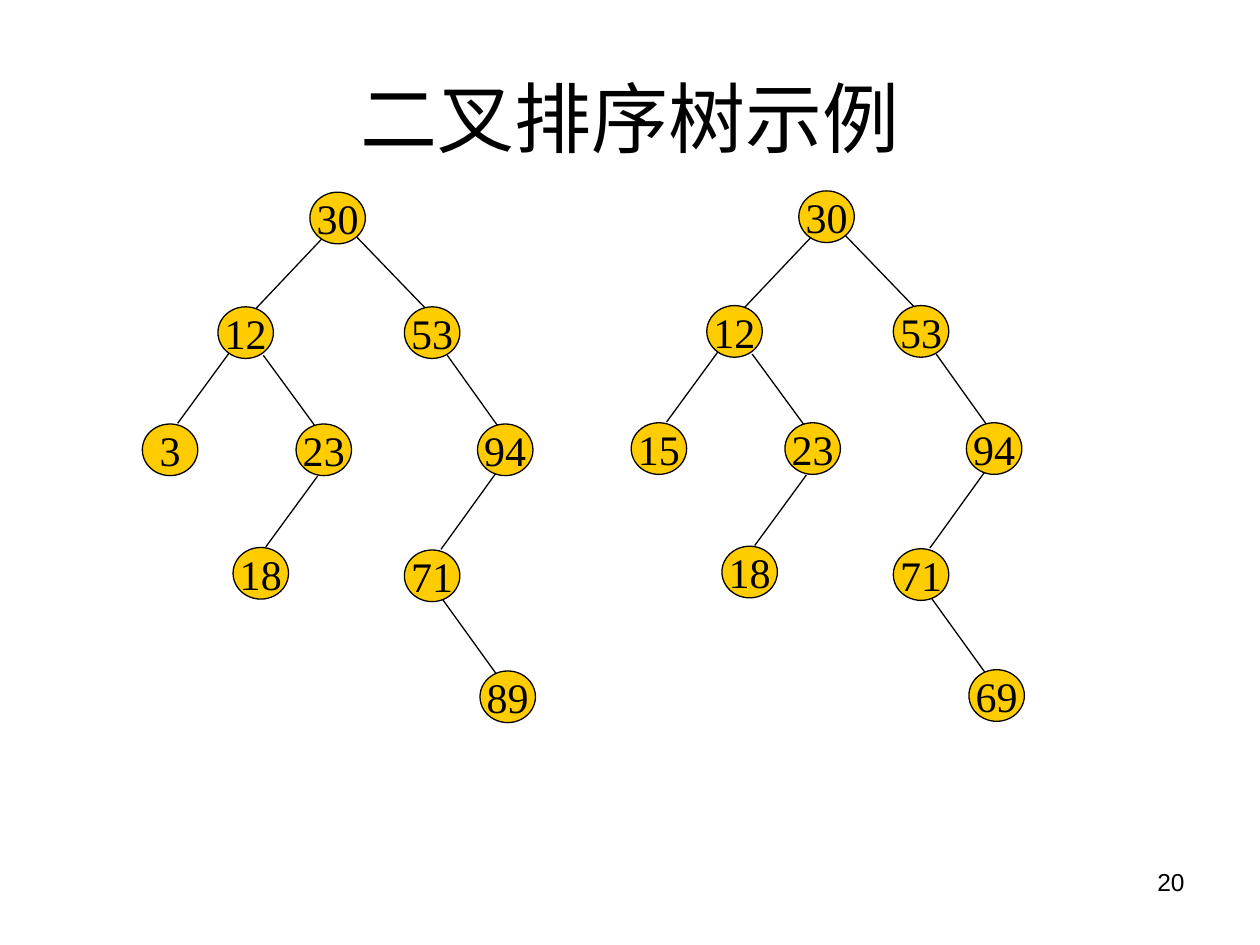
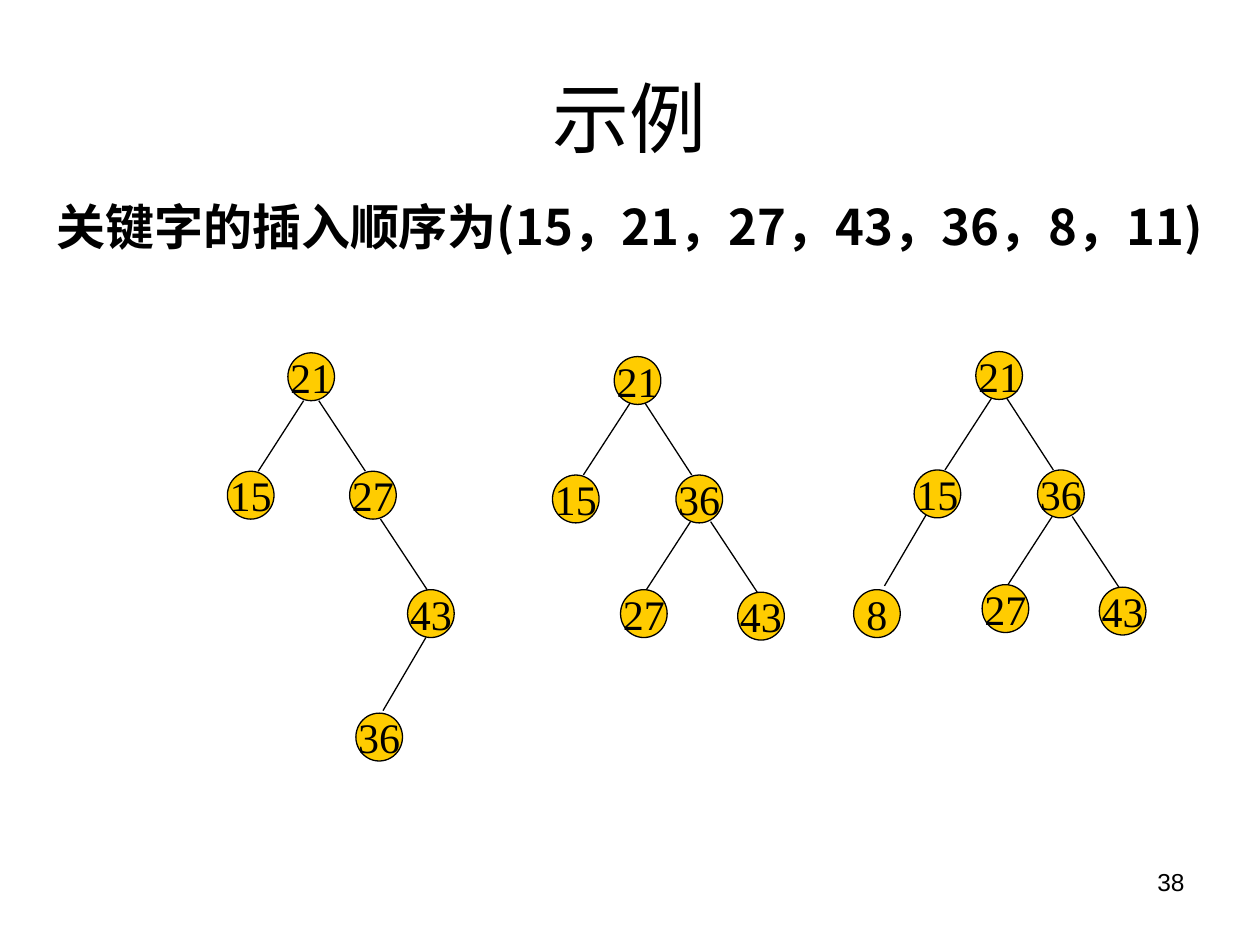
from pptx import Presentation
from pptx.dml.color import RGBColor
from pptx.enum.shapes import MSO_CONNECTOR, MSO_SHAPE
from pptx.enum.text import MSO_ANCHOR, PP_ALIGN
from pptx.oxml.ns import qn
from pptx.util import Inches, Pt
from lxml import etree

OVAL = MSO_SHAPE.OVAL
LINE = MSO_CONNECTOR.STRAIGHT
MIDDLE = MSO_ANCHOR.MIDDLE
CENTER, RIGHT = PP_ALIGN.CENTER, PP_ALIGN.RIGHT
BLACK, GOLD = "000000", "FFCC00"
CJK = "Noto Sans CJK SC"


def style(para, name, size, align=None):
    """Set the font, size and alignment of a black paragraph."""
    para.font.name = name
    para.font.size = Pt(size)
    para.font.color.rgb = RGBColor.from_string(BLACK)
    para.alignment = align


def draw_tree(slide, nodes, links, size, shift=(0, 0)):
    """Draw a grouped tree: links by their ends, nodes by their centres."""
    dx, dy = shift
    wide, high = size
    group = slide.shapes.add_group_shape()
    for x1, y1, x2, y2 in links:
        link = group.shapes.add_connector(
            LINE, Inches(x1 + dx), Inches(y1 + dy), Inches(x2 + dx), Inches(y2 + dy))
        link.line.color.rgb = RGBColor.from_string(BLACK)
        link.line.width = Pt(0.75)
        etree.SubElement(link._element.spPr, qn("a:effectLst"))
    for key, x, y in nodes:
        node = group.shapes.add_shape(
            OVAL, Inches(x + dx - wide / 2), Inches(y + dy - high / 2),
            Inches(wide), Inches(high))
        node.shadow.inherit = False
        node.fill.solid()
        node.fill.fore_color.rgb = RGBColor.from_string(GOLD)
        node.line.color.rgb = RGBColor.from_string(BLACK)
        node.line.width = Pt(0.75)
        frame = node.text_frame
        frame.margin_left = frame.margin_right = 0
        frame.margin_top = frame.margin_bottom = 0
        frame.word_wrap = False
        frame.vertical_anchor = MIDDLE
        frame.text = str(key)
        style(frame.paragraphs[0], "Times New Roman", 24, CENTER)


deck = Presentation()
deck.slide_width, deck.slide_height = Inches(10), Inches(7.5)

# Title and page number, the same on each slide
slides = []
for title, page in [("二叉排序树示例", "20"), ("示例", "38")]:
    slide = deck.slides.add_slide(deck.slide_layouts[5])
    head = slide.shapes.title
    head.left, head.top = Inches(0.5), Inches(0.3)
    head.width, head.height = Inches(9), Inches(1.25)
    head.text_frame.text = title
    head.text_frame.vertical_anchor = MIDDLE
    style(head.text_frame.paragraphs[0], "Arial", 44, CENTER)
    foot = slide.shapes.add_textbox(Inches(7.17), Inches(6.83), Inches(2.33), Inches(0.52))
    foot.text_frame.word_wrap = True
    foot.text_frame.text = page
    style(foot.text_frame.paragraphs[0], "Arial", 14, RIGHT)
    slides.append(slide)
first, second = slides

# Slide 1: one tree shape, drawn twice with two keys changed
links = [
    (2.56, 1.89, 2.03, 2.45), (2.83, 1.88, 3.37, 2.44),
    (1.82, 2.8, 1.41, 3.36), (2.09, 2.82, 2.5, 3.38),
    (3.55, 2.82, 3.95, 3.38), (2.52, 3.78, 2.11, 4.34),
    (3.94, 3.75, 3.5, 4.36), (3.5, 4.74, 3.94, 5.35),
]
for low, last, shift in [(3, 89, (0, 0)), (15, 69, (3.88, -0.01))]:
    nodes = [
        (30, 2.68, 1.73), (12, 1.95, 2.64), (53, 3.43, 2.64),
        (low, 1.35, 3.57), (23, 2.57, 3.57), (94, 4.01, 3.57),
        (18, 2.07, 4.55), (71, 3.43, 4.57), (last, 4.03, 5.53),
    ]
    draw_tree(first, nodes, links, (0.44, 0.41), shift)

# Slide 2: insertion order, then the tree at three stages
note = second.shapes.add_textbox(Inches(0.35), Inches(1.58), Inches(9.37), Inches(0.57))
note.text_frame.word_wrap = True
note.text_frame.text = "关键字的插入顺序为(15，21，27，43，36，8，11)"
para = note.text_frame.paragraphs[0]
style(para, CJK, 28)
para.font.bold = True
para.line_spacing = 0.86
for run in para.runs:
    etree.SubElement(run.font._element, qn("a:ea"), typeface=CJK)

size = (0.37, 0.38)
nodes = [(21, 2.47, 2.99), (15, 1.99, 3.93), (27, 2.96, 3.93),
         (43, 3.42, 4.87), (36, 3.01, 5.85)]
links = [(2.41, 3.18, 2.05, 3.74), (2.53, 3.18, 2.9, 3.74),
         (3.02, 4.12, 3.39, 4.68), (3.38, 5.06, 3.04, 5.64)]
draw_tree(second, nodes, links, size)

nodes = [(21, 5.06, 3.02), (15, 4.57, 3.96), (36, 5.55, 3.96),
         (27, 5.11, 4.87), (43, 6.04, 4.89)]
links = [(5, 3.2, 4.63, 3.77), (5.12, 3.2, 5.49, 3.77),
         (5.5, 4.11, 5.13, 4.68), (5.64, 4.14, 6.01, 4.7)]
draw_tree(second, nodes, links, size)

# The last stage adds key 8 below 15
nodes.append((8, 4.09, 4.91))
links.append((4.49, 4.11, 4.15, 4.69))
draw_tree(second, nodes, links, size, (2.87, -0.04))

deck.save("out.pptx")
